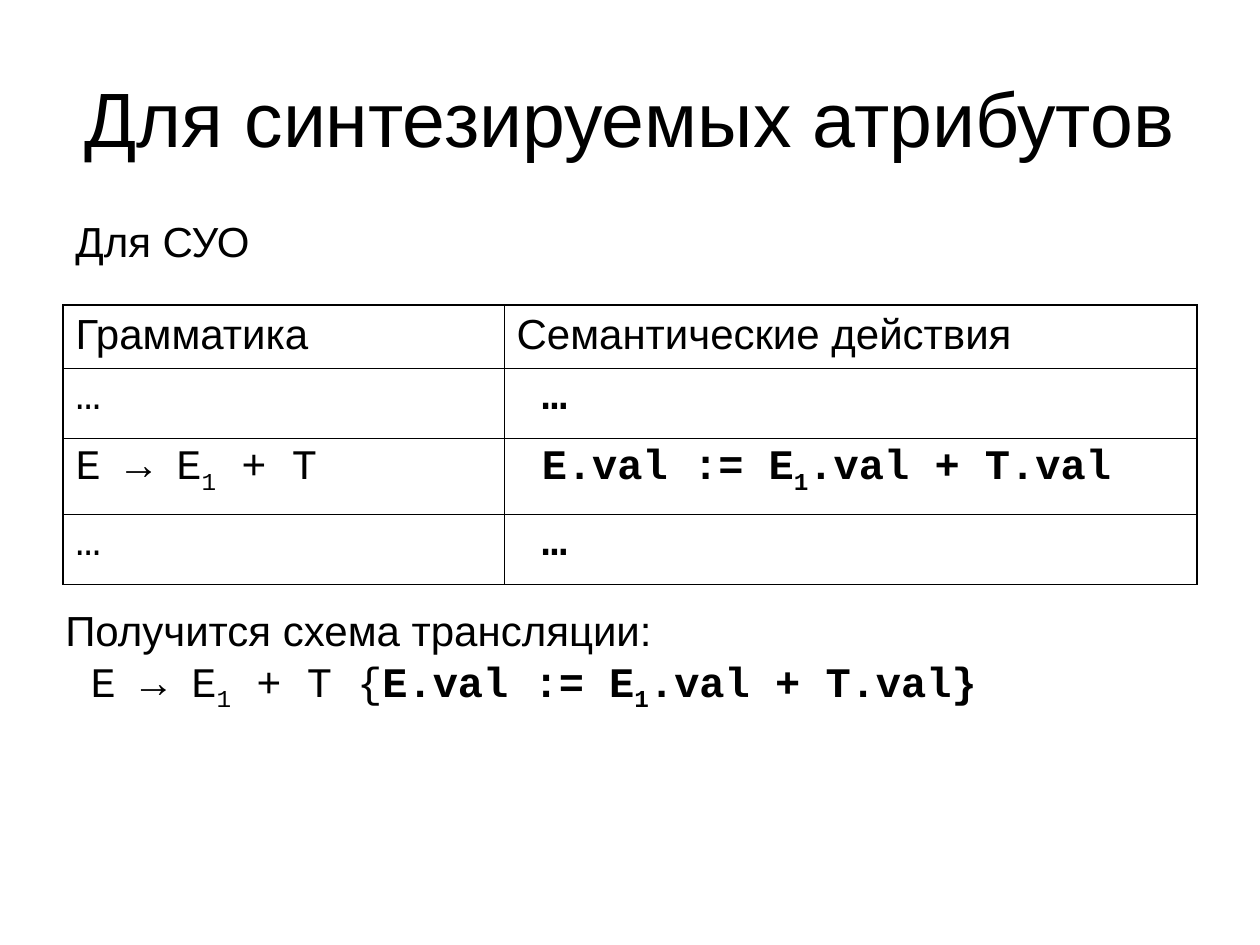
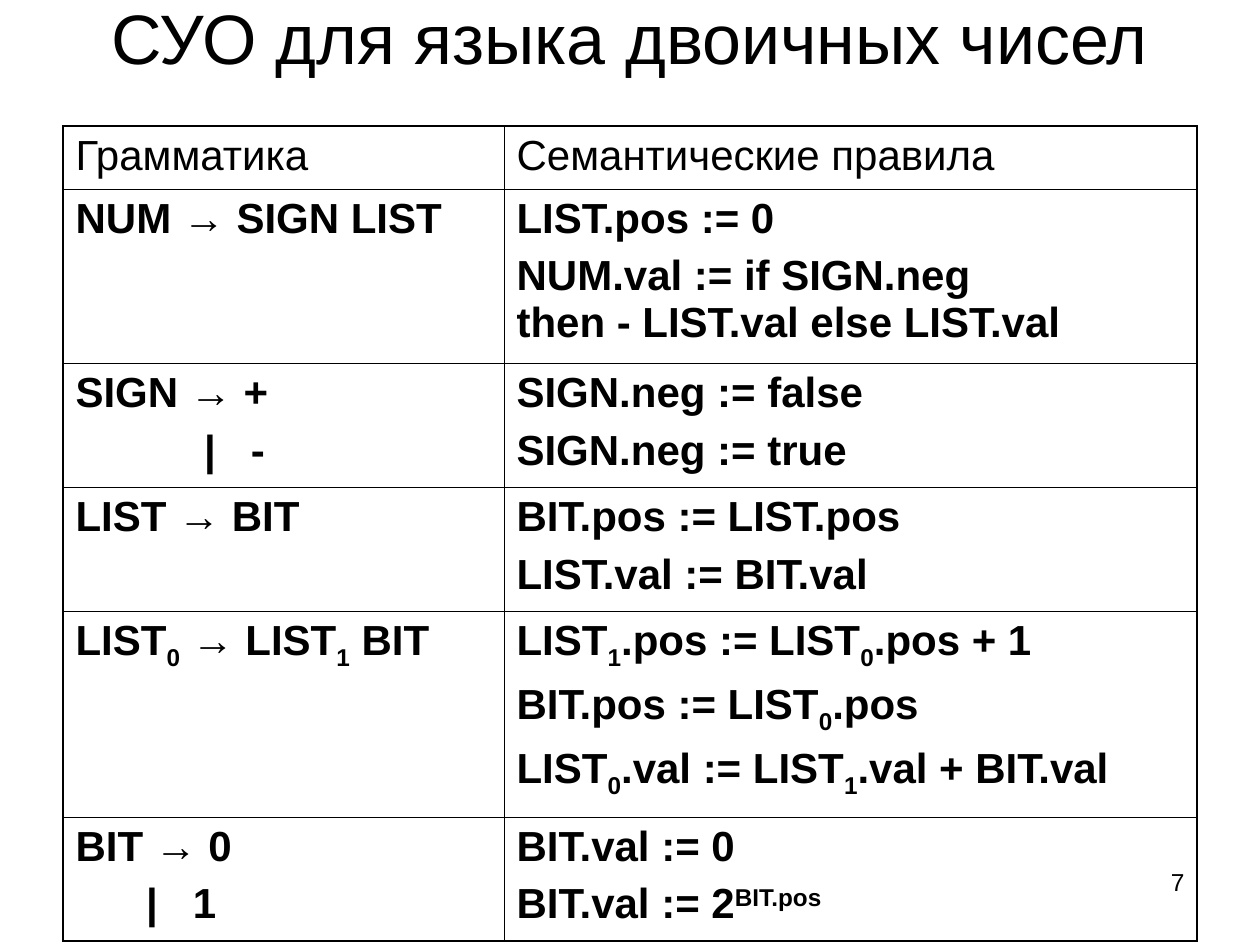
from dataclasses import dataclass

from lxml.etree import SubElement
from pptx import Presentation
from pptx.dml.color import RGBColor
from pptx.enum.text import MSO_ANCHOR, PP_ALIGN
from pptx.oxml.ns import qn
from pptx.slide import Slide
from pptx.table import _Cell
from pptx.text.text import TextFrame, _Paragraph
from pptx.util import Inches, Pt

BLACK = RGBColor(0x00, 0x00, 0x00)
SANS, MONO = "Arial", "Courier New"
THICK, THIN = 1.08, 0.45
COLS = (3.5, 5.5)
MARGIN = 0.5
HANG = 0.37
MARKS = {"~": -25000, "^": 30000}


@dataclass(frozen=True)
class Line:
    """A paragraph; ~x~ is subscript, ^x^ superscript, *x* bold."""
    text: str
    font: str = SANS
    bold: bool = False
    size: float = 24
    before: float = 6
    align: PP_ALIGN = PP_ALIGN.LEFT
    indent: float = 0


@dataclass(frozen=True)
class Box:
    left: float
    top: float
    width: float
    height: float
    lines: tuple[Line, ...]
    title: bool = False


@dataclass(frozen=True)
class Row:
    height: float
    cells: tuple[tuple[Line, ...], tuple[Line, ...]]


@dataclass(frozen=True)
class Grid:
    top: float
    rows: tuple[Row, ...]
    foot: float


def head(text: str, size: float, top: float, height: float) -> Box:
    line = Line(text, size=size, before=0, align=PP_ALIGN.CENTER)
    return Box(MARGIN, top, sum(COLS), height, (line,), title=True)


def top_row(height: float, right: str) -> Row:
    return Row(height, ((Line("Грамматика"),), (Line(right),)))


def code_row(height: float, left: str, right: str) -> Row:
    return Row(height, ((Line(left, MONO),), (Line(" " + right, MONO, True),)))


def rule_row(height: float, left: str, right: tuple[str, ...],
             other: str = "", indent: float = 0) -> Row:
    """A grammar rule, with an optional second choice after a bar."""
    rule = [Line(left, bold=True)]
    if other:
        rule.append(Line("|\t" + other, bold=True, indent=indent))
    return Row(height, (tuple(rule), tuple(Line(t, bold=True) for t in right)))


def add_run(para: _Paragraph, text: str, line: Line, bold: bool, base: int) -> None:
    run = para.add_run()
    run.text = text
    font = run.font
    font.name, font.size, font.bold = line.font, Pt(line.size), bold
    font.color.rgb = BLACK
    if base:
        font._element.set("baseline", str(base))


def write(para: _Paragraph, line: Line) -> None:
    para.alignment = line.align
    para.space_before = Pt(line.before)
    if line.indent:
        props = para._p.get_or_add_pPr()
        props.set("marL", str(Inches(line.indent + HANG)))
        props.set("indent", str(-Inches(HANG)))
    bold, base, part = line.bold, 0, ""
    for char in line.text + "\0":
        if char not in "~^*\v\0":
            part += char
            continue
        if part:
            add_run(para, part, line, bold, base)
            part = ""
        if char == "*":
            bold = not bold
        elif char == "\v":
            para.add_line_break()
        elif char in MARKS:
            base = 0 if base else MARKS[char]


def fill_text(frame: TextFrame, lines: tuple[Line, ...]) -> None:
    for i, line in enumerate(lines):
        write(frame.add_paragraph() if i else frame.paragraphs[0], line)


def add_box(slide: Slide, box: Box) -> None:
    shape = slide.shapes.add_textbox(Inches(box.left), Inches(box.top),
                                     Inches(box.width), Inches(box.height))
    frame = shape.text_frame
    frame.word_wrap = True
    if box.title:
        frame.vertical_anchor = MSO_ANCHOR.MIDDLE
        frame.margin_left = frame.margin_right = 0
        frame.margin_top = frame.margin_bottom = 0
    fill_text(frame, box.lines)


def set_edges(cell: _Cell, edges: dict[str, float]) -> None:
    props = cell._tc.get_or_add_tcPr()
    for side, width in edges.items():
        edge = SubElement(props, qn("a:ln" + side), w=str(Pt(width)))
        fill = SubElement(edge, qn("a:solidFill"))
        SubElement(fill, qn("a:srgbClr"), val=str(BLACK))


def add_grid(slide: Slide, grid: Grid) -> None:
    count, high = len(grid.rows), sum(row.height for row in grid.rows)
    table = slide.shapes.add_table(count, len(COLS), Inches(MARGIN), Inches(grid.top),
                                   Inches(sum(COLS)), Inches(high)).table
    table.first_row = table.horz_banding = False
    for col, width in zip(table.columns, COLS):
        col.width = Inches(width)
    for r, row in enumerate(grid.rows):
        table.rows[r].height = Inches(row.height)
        for c, lines in enumerate(row.cells):
            cell = table.cell(r, c)
            cell.margin_left = cell.margin_right = Inches(0.1)
            cell.margin_top = cell.margin_bottom = Inches(0.05)
            set_edges(cell, {
                "L": THICK if c == 0 else THIN,
                "R": THICK if c == len(COLS) - 1 else THIN,
                "T": THICK if r == 0 else THIN,
                "B": grid.foot if r == count - 1 else THIN,
            })
            cell.fill.background()
            fill_text(cell.text_frame, lines)


SCHEME = (
    head("Для синтезируемых атрибутов", 44, 0.3, 1.25),
    Grid(2.42, (
        top_row(0.47, "Семантические действия"),
        code_row(0.56, "…", "…"),
        code_row(0.6, "E → E~1~ + T", "E.val := E~1~.val + T.val"),
        code_row(0.56, "…", "…"),
    ), THIN),
    Box(0.42, 4.75, 8.25, 1.71, (
        Line("Получится схема трансляции:", before=15),
        Line(" E → E~1~ + T {*E.val := E~1~.val + T.val}*", MONO, before=0),
    )),
    Box(MARGIN, 1.66, 4.67, 0.5, (Line("Для СУО", before=15),)),
)

BINARY = (
    Box(7.17, 6.83, 2.33, 0.52,
        (Line("7", size=14, before=0, align=PP_ALIGN.RIGHT),)),
    head("СУО для языка двоичных чисел", 40, 0, 0.58),
    Grid(1, (
        top_row(0.5, "Семантические правила"),
        rule_row(1.38, "NUM → SIGN LIST", (
            "LIST.pos := 0",
            "NUM.val := if SIGN.neg \vthen - LIST.val else LIST.val")),
        rule_row(0.98, "SIGN → +", ("SIGN.neg := false", "SIGN.neg := true"),
                 "-", 1.02),
        rule_row(0.98, "LIST → BIT", ("BIT.pos := LIST.pos", "LIST.val := BIT.val")),
        rule_row(1.63, "LIST~0~ → LIST~1~ BIT", (
            "LIST~1~.pos := LIST~0~.pos + 1",
            "BIT.pos := LIST~0~.pos",
            "LIST~0~.val := LIST~1~.val + BIT.val")),
        rule_row(0.98, "BIT → 0", ("BIT.val := 0", "BIT.val := 2^BIT.pos^"),
                 "1", 0.56),
    ), THICK),
)


def main() -> None:
    deck = Presentation()
    deck.slide_width, deck.slide_height = Inches(10), Inches(7.5)
    for parts in (SCHEME, BINARY):
        slide = deck.slides.add_slide(deck.slide_layouts[6])
        for part in parts:
            if isinstance(part, Grid):
                add_grid(slide, part)
            else:
                add_box(slide, part)
    deck.save("out.pptx")


if __name__ == "__main__":
    main()
